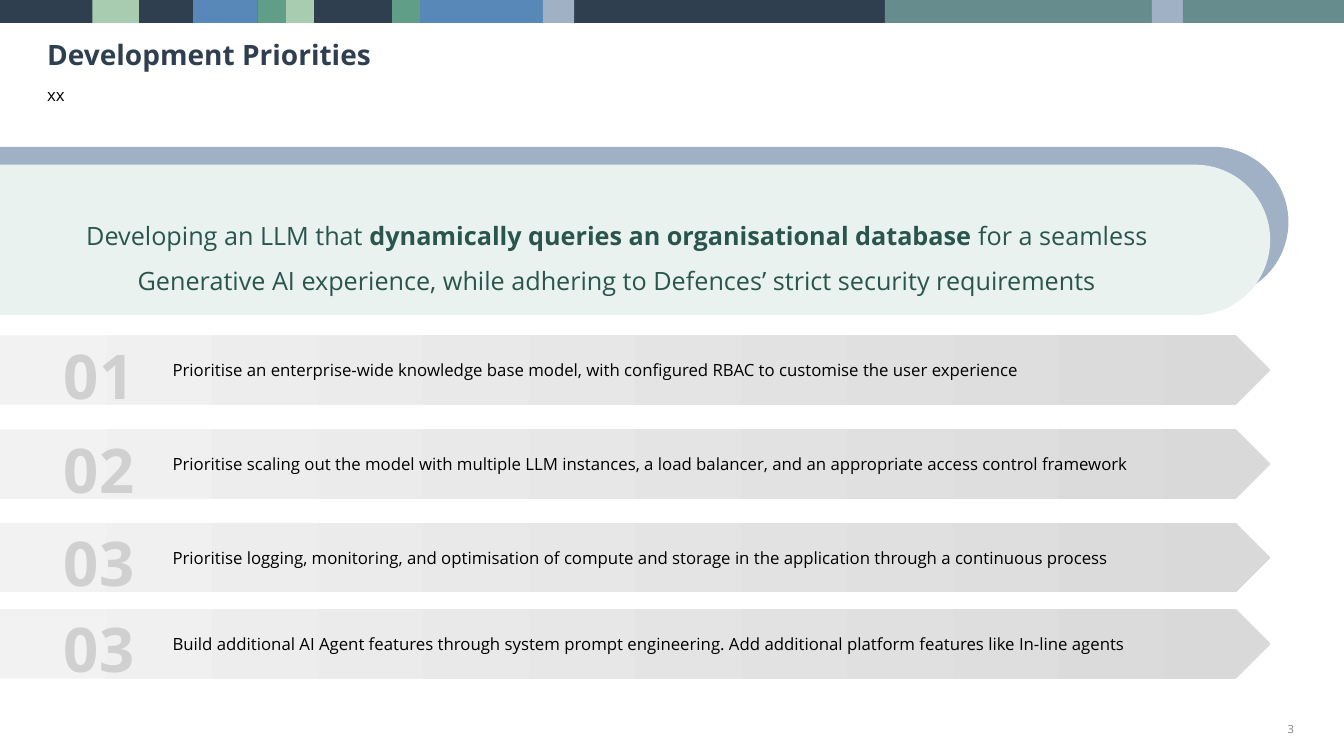
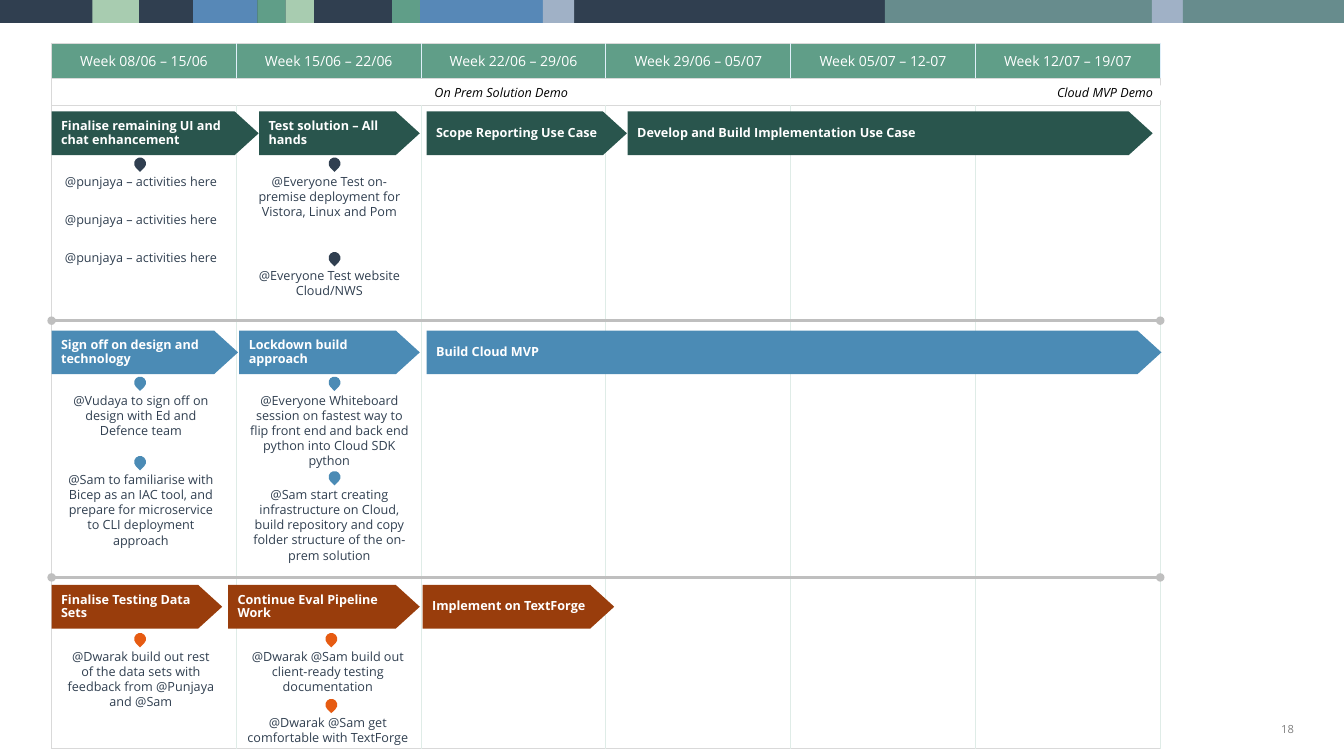
from dataclasses import dataclass
from itertools import pairwise
from typing import NamedTuple

from lxml.etree import SubElement
from pptx import Presentation
from pptx.dml.color import RGBColor
from pptx.enum.shapes import MSO_CONNECTOR, MSO_SHAPE
from pptx.enum.text import MSO_ANCHOR, MSO_AUTO_SIZE, PP_ALIGN
from pptx.oxml.ns import qn
from pptx.shapes.autoshape import Shape
from pptx.slide import Slide
from pptx.table import _Cell as Cell
from pptx.text.text import TextFrame
from pptx.util import Cm, Pt


@dataclass(frozen=True)
class Theme:
    font: str = "Open Sans"
    navy: str = "303F50"
    mint: str = "A8CCB0"
    blue: str = "5788B7"
    green: str = "609E88"
    haze: str = "A0B1C6"
    teal: str = "678C8D"
    pine: str = "29554D"
    pale: str = "EAF2EF"
    steel: str = "4B8BB5"
    rust: str = "993D0C"
    flame: str = "E65B12"
    white: str = "FFFFFF"
    black: str = "000000"
    grey: str = "808080"
    rule: str = "BFBFBF"
    edge: str = "D9D9D9"
    ghost: str = "D0D0D0"
    light: str = "F2F2F2"
    ice: str = "E0F0FA"
    grid: str = "DFECE7"
    title: float = 20
    lead: float = 18
    body: float = 12
    head: float = 10
    note: float = 9
    page: float = 8
    digit: float = 44


T = Theme()


class Box(NamedTuple):
    x: float
    y: float
    w: float
    h: float


class Run(NamedTuple):
    text: str
    bold: bool = False
    slant: bool = False


class Col(NamedTuple):
    x: float
    w: float
    pin: float


class Step(NamedTuple):
    x: float
    w: float
    text: str


class Note(NamedTuple):
    col: Col
    y: float
    lines: int
    text: str
    pin: bool = True


class Lane(NamedTuple):
    y: float
    fill: str
    mark: str
    steps: list[Step]
    notes: list[Note]


WIDE, HIGH = 33.87, 19.05
BAND = [
    (0, T.navy), (2.33, T.mint), (3.5, T.navy), (4.87, T.blue), (6.49, T.green),
    (7.2, T.mint), (7.91, T.navy), (9.88, T.green), (10.59, T.blue), (13.68, T.haze),
    (14.47, T.navy), (22.3, T.teal), (29.03, T.haze), (29.81, T.teal), (WIDE, T.navy),
]
GOALS = [
    (8.45, "01", "Prioritise an enterprise-wide knowledge base model, with configured RBAC to customise the user experience"),
    (10.82, "02", "Prioritise scaling out the model with multiple LLM instances, a load balancer, and an appropriate access control framework"),
    (13.18, "03", "Prioritise logging, monitoring, and optimisation of compute and storage in the application through a continuous process"),
    (15.35, "03", "Build additional AI Agent features through system prompt engineering. Add additional platform features like In-line agents"),
]
WEEKS = ["08/06 – 15/06", "15/06 – 22/06", "22/06 – 29/06",
         "29/06 – 05/07", "05/07 – 12-07", "12/07 – 19/07"]
LEFT, TOP, SPAN = 1.3, 1.09, 27.94
ROWS = [0.89, 0.68, 16.21]
DEMOS = [(10.95, "On Prem Solution Demo"), (26.64, "Cloud MVP Demo")]
ONE, TWO, LAST = Col(1.63, 3.84, 3.38), Col(6.27, 4.06, 8.28), Col(6.15, 4.22, 8.2)
TASK = "@punjaya – activities here"
LANES = [
    Lane(2.81, T.pine, T.navy, [
        Step(1.3, 5.22, "Finalise remaining UI and chat enhancement"),
        Step(6.53, 4.05, "Test solution – All hands"),
        Step(10.75, 5.05, "Scope Reporting Use Case"),
        Step(15.82, 13.23, "Develop and Build Implementation Use Case"),
    ], [
        Note(ONE, 4.37, 1, TASK),
        Note(ONE, 5.33, 1, TASK, False),
        Note(ONE, 6.3, 1, TASK, False),
        Note(TWO, 4.37, 3, "@Everyone Test on-premise deployment for Vistora, Linux and Pom"),
        Note(TWO, 6.75, 2, "@Everyone Test website Cloud/NWS"),
    ]),
    Lane(8.33, T.steel, T.steel, [
        Step(1.3, 4.7, "Sign off on design and technology"),
        Step(6.03, 4.55, "Lockdown build approach"),
        Step(10.75, 18.52, "Build Cloud MVP"),
    ], [
        Note(ONE, 9.89, 3, "@Vudaya to sign off on design with Ed and Defence team"),
        Note(ONE, 11.89, 5, "@Sam to familiarise with Bicep as an IAC tool, and prepare for microservice to CLI deployment approach"),
        Note(TWO, 9.89, 5, "@Everyone Whiteboard session on fastest way to flip front end and back end python into Cloud SDK python"),
        Note(TWO, 12.27, 5, "@Sam start creating infrastructure on Cloud, build repository and copy folder structure of the on-prem solution"),
    ]),
    Lane(14.74, T.rust, T.flame, [
        Step(1.3, 4.3, "Finalise Testing Data Sets"),
        Step(5.75, 4.83, "Continue Eval Pipeline Work"),
        Step(10.65, 4.83, "Implement on TextForge"),
    ], [
        Note(ONE, 16.35, 4, "@Dwarak build out rest of the data sets with feedback from @Punjaya and @Sam"),
        Note(LAST, 16.35, 3, "@Dwarak @Sam build out client-ready testing documentation"),
        Note(LAST, 18.01, 2, "@Dwarak @Sam get comfortable with TextForge"),
    ]),
]


def rgb(code: str) -> RGBColor:
    return RGBColor.from_string(code)


def write(frame: TextFrame, runs: list[Run], size: float, tint: str,
          align: PP_ALIGN = PP_ALIGN.LEFT, space: float = 1) -> None:
    para = frame.paragraphs[0]
    para.alignment = align
    para.line_spacing = space
    for part in runs:
        run = para.add_run()
        run.text = part.text
        font = run.font
        font.name, font.size, font.bold, font.italic = T.font, Pt(size), part.bold, part.slant
        font.color.rgb = rgb(tint)


def setup(frame: TextFrame, pad: float = 0, anchor: MSO_ANCHOR = MSO_ANCHOR.MIDDLE,
          wrap: bool = True) -> TextFrame:
    frame.auto_size = MSO_AUTO_SIZE.NONE
    frame.word_wrap = wrap
    frame.vertical_anchor = anchor
    frame.margin_left = frame.margin_right = Cm(pad)
    frame.margin_top = frame.margin_bottom = Cm(pad)
    return frame


def draw(slide: Slide, kind: MSO_SHAPE, box: Box, fill: str | None) -> Shape:
    shape = slide.shapes.add_shape(kind, *map(Cm, box))
    shape.shadow.inherit = False
    shape.line.fill.background()
    if fill:
        shape.fill.solid()
        shape.fill.fore_color.rgb = rgb(fill)
    else:
        shape.fill.background()
    return shape


def label(slide: Slide, box: Box, pad: float = 0,
          anchor: MSO_ANCHOR = MSO_ANCHOR.MIDDLE) -> TextFrame:
    return setup(slide.shapes.add_textbox(*map(Cm, box)).text_frame, pad, anchor)


def frame_page(slide: Slide, page: str) -> None:
    draw(slide, MSO_SHAPE.RECTANGLE, Box(0, 0, WIDE, 0.58), T.navy)
    for (x, fill), (end, _) in pairwise(BAND):
        if fill != T.navy:
            draw(slide, MSO_SHAPE.RECTANGLE, Box(x, 0, end - x, 0.58), fill)
    spot = label(slide, Box(31.75, 18.21, 0.86, 0.33), anchor=MSO_ANCHOR.TOP)
    write(spot, [Run(page)], T.page, T.grey, PP_ALIGN.RIGHT)


def tab(slide: Slide, y: float, length: float, fill: str) -> None:
    high = 3.79
    box = Box((length - high) / 2, y + (high - length) / 2, high, length)
    shape = draw(slide, MSO_SHAPE.ROUND_2_SAME_RECTANGLE, box, fill)
    shape.rotation = 90
    shape.adjustments[0], shape.adjustments[1] = 0.5, 0


def goal(slide: Slide, y: float, digits: str, text: str) -> None:
    arrow = draw(slide, MSO_SHAPE.PENTAGON, Box(0, y, 32.01, 1.75), T.light)
    arrow.fill.gradient()
    arrow.fill.gradient_angle = 0
    for stop, tint in zip(arrow.fill.gradient_stops, (T.light, T.edge)):
        stop.color.rgb = rgb(tint)
    write(label(slide, Box(4.35, y + 0.47, 26.5, 0.81)), [Run(text)], T.body, T.black)
    disc = draw(slide, MSO_SHAPE.OVAL, Box(1.79, y + 0.45, 1.42, 1.07), None)
    write(setup(disc.text_frame, wrap=False), [Run(digits, True)], T.digit, T.ghost, PP_ALIGN.CENTER)


def border(cell: Cell, left: str, right: str) -> None:
    props = cell._tc.get_or_add_tcPr()
    for side, tint in zip("LRTB", (left, right, T.edge, T.edge)):
        line = SubElement(props, qn(f"a:ln{side}"), w=str(Pt(1)))
        SubElement(SubElement(line, qn("a:solidFill")), qn("a:srgbClr"), val=tint)


def plan(slide: Slide) -> None:
    count = len(WEEKS)
    box = Box(LEFT, TOP, SPAN, sum(ROWS))
    table = slide.shapes.add_table(len(ROWS), count, *map(Cm, box)).table
    table.first_row = table.horz_banding = False
    for col in table.columns:
        col.width = Cm(SPAN / count)
    for row, high in zip(table.rows, ROWS):
        row.height = Cm(high)
    table.cell(1, 0).merge(table.cell(1, count - 1))
    sides = [T.ice, T.edge, T.grid]
    fills = [T.green, T.white, None]
    for r, (side, fill) in enumerate(zip(sides, fills)):
        for c, week in enumerate(WEEKS):
            cell = table.cell(r, c)
            border(cell, side if c else T.edge, side)
            cell.margin_left = cell.margin_right = 0
            cell.margin_top = cell.margin_bottom = Cm(0 if r else 0.13)
            cell.vertical_anchor = MSO_ANCHOR.MIDDLE
            if fill:
                cell.fill.solid()
                cell.fill.fore_color.rgb = rgb(fill)
            else:
                cell.fill.background()
            if r == 0:
                write(cell.text_frame, [Run(f"Week {week}")], T.head, T.white, PP_ALIGN.CENTER)
            else:
                SubElement(cell.text_frame.paragraphs[0]._p, qn("a:endParaRPr"), sz="800")


def rule(slide: Slide, y: float) -> None:
    line = slide.shapes.add_connector(
        MSO_CONNECTOR.STRAIGHT, Cm(LEFT), Cm(y), Cm(LEFT + SPAN), Cm(y))
    line.line.color.rgb = rgb(T.rule)
    line.line.width = Pt(2)
    for end in ("headEnd", "tailEnd"):
        SubElement(line.line._get_or_add_ln(), qn(f"a:{end}"), type="oval")
    SubElement(line._element.spPr, qn("a:effectLst"))


def lane(slide: Slide, item: Lane) -> None:
    for step in item.steps:
        arrow = draw(slide, MSO_SHAPE.PENTAGON, Box(step.x, item.y, step.w, 1.1), item.fill)
        arrow.adjustments[0] = 0.55
        text = setup(arrow.text_frame)
        text.margin_left = Cm(0.24)
        write(text, [Run(step.text, True)], T.note, T.white, space=0.9)
    for note in item.notes:
        box = Box(note.col.x, note.y, note.col.w, note.lines * 0.38)
        card = draw(slide, MSO_SHAPE.RECTANGLE, box, T.white)
        write(setup(card.text_frame, anchor=MSO_ANCHOR.TOP), [Run(note.text)],
              T.note, T.navy, PP_ALIGN.CENTER)
        if note.pin:
            pin = draw(slide, MSO_SHAPE.TEAR, Box(note.col.pin, note.y - 0.4, 0.3, 0.3), item.mark)
            pin.rotation = 135.5


def main() -> None:
    deck = Presentation()
    deck.slide_width, deck.slide_height = Cm(WIDE), Cm(HIGH)

    goals = deck.slides.add_slide(deck.slide_layouts[5])
    frame_page(goals, "3")
    title = goals.shapes.title
    title.left, title.top, title.width, title.height = map(Cm, Box(1.09, 0.93, 31.8, 0.89))
    write(setup(title.text_frame, 0.1), [Run("Development Priorities", True)], T.title, T.navy)
    write(label(goals, Box(1.09, 2.03, 31.8, 0.76), 0.1, MSO_ANCHOR.TOP), [Run("xx")], T.body, T.black)
    tab(goals, 3.7, 32.47, T.haze)
    tab(goals, 4.15, 32.01, T.pale)
    write(label(goals, Box(0.47, 4.97, 30.15, 2.69), 0.25), [
        Run("Developing an LLM that "),
        Run("dynamically queries an organisational database ", True),
        Run("for a seamless Generative AI experience, while adhering to Defences’ strict security requirements"),
    ], T.lead, T.pine, PP_ALIGN.CENTER, 1.5)
    for item in GOALS:
        goal(goals, *item)

    weeks = deck.slides.add_slide(deck.slide_layouts[6])
    frame_page(weeks, "18")
    plan(weeks)
    for x, text in DEMOS:
        card = draw(weeks, MSO_SHAPE.RECTANGLE, Box(x, 2.15, 4.24, 0.38), T.white)
        write(setup(card.text_frame, anchor=MSO_ANCHOR.TOP), [Run(text, slant=True)], T.note, T.black)
    for y in (8.08, 14.55):
        rule(weeks, y)
    for item in LANES:
        lane(weeks, item)

    deck.save("out.pptx")


if __name__ == "__main__":
    main()
